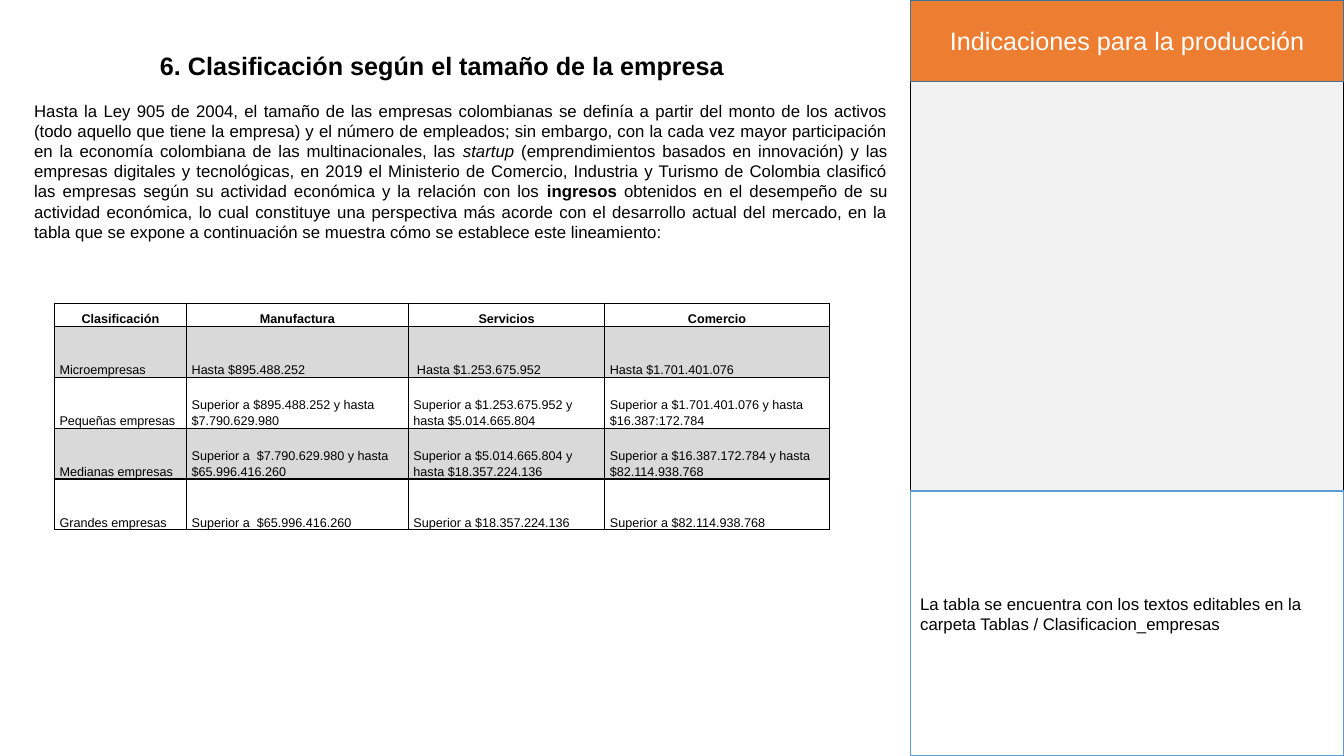
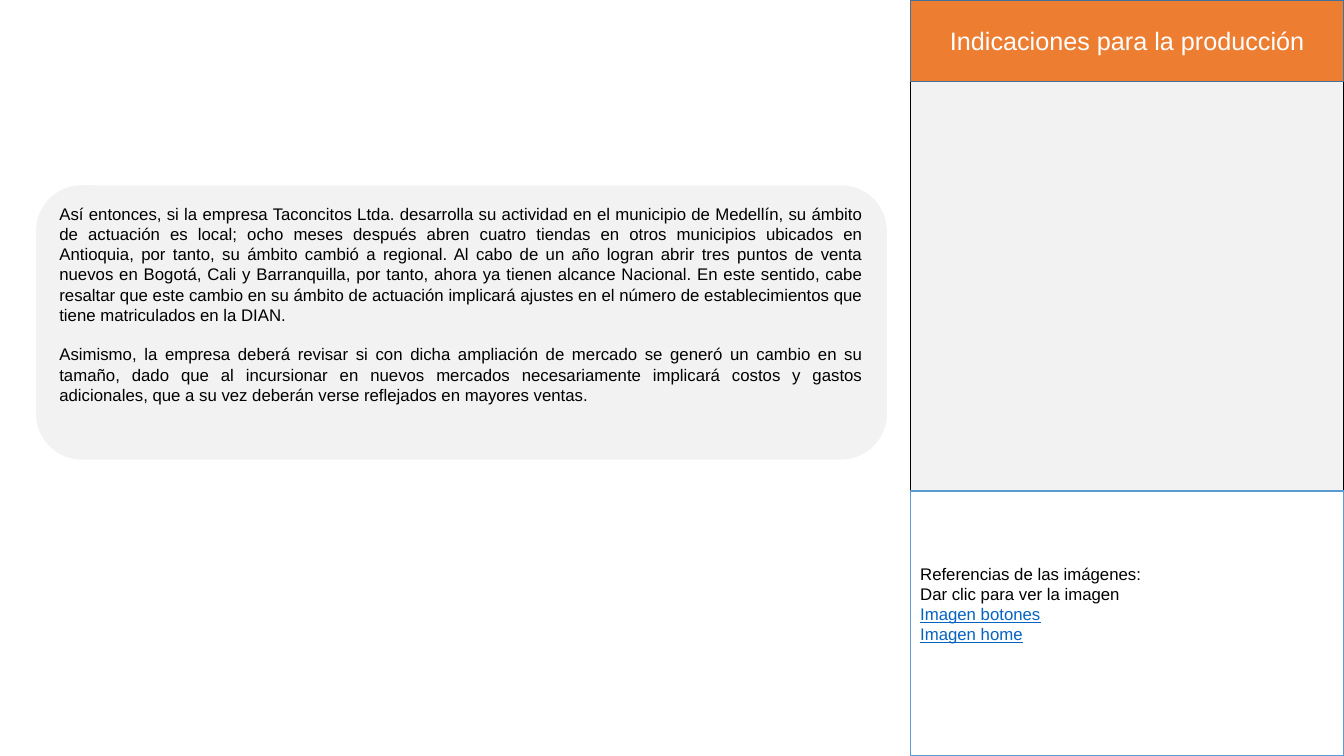
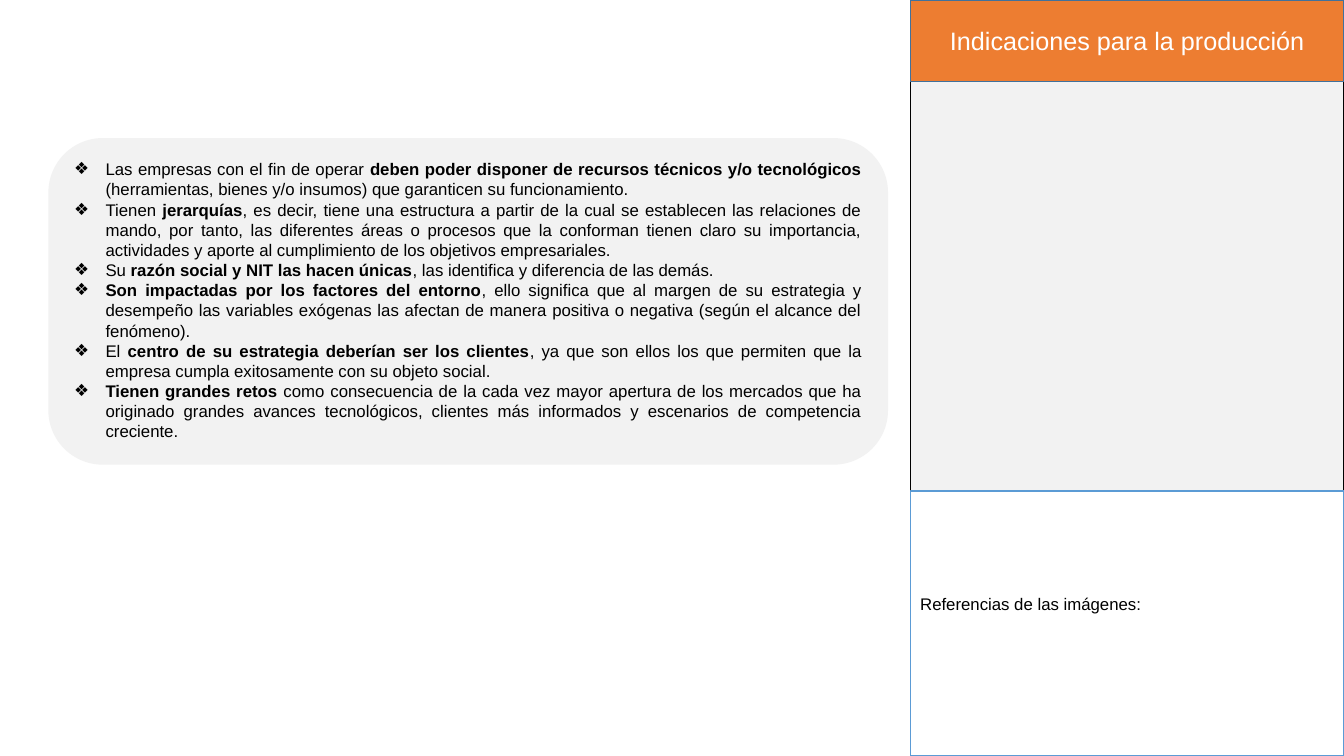
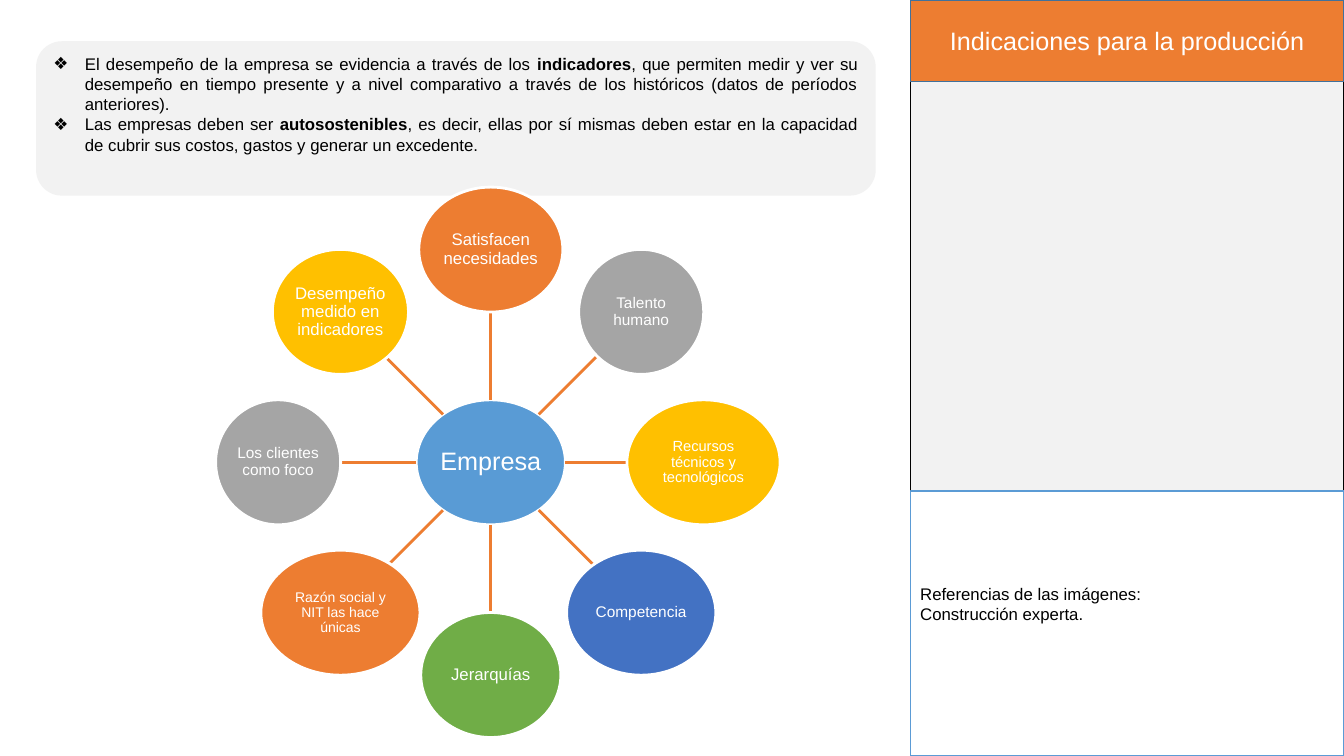
from dataclasses import dataclass
from math import cos, hypot, radians, sin

from lxml import etree
from pptx import Presentation
from pptx import util as u
from pptx.dml.color import RGBColor
from pptx.enum import shapes, text
from pptx.oxml import ns

FONT = "Arial"
BLACK, WHITE = "000000", "FFFFFF"
PALE, SHADE = "F2F2F2", "D9D9D9"
ORANGE, BLUE, GREY, GOLD = "ED7D31", "599BD5", "A5A5A5", "FFC000"
INDIGO, GREEN = "4372C3", "70AD47"
BAND_EDGE, NOTE_EDGE, LINK = "42719B", "5B9BD5", "0563C1"

SLIDE_WIDTH, SLIDE_HEIGHT = 33.87, 19.05
PANEL_LEFT, BAND_HEIGHT, NOTE_TOP = 22.94, 2.06, 12.37
INSET, TEXT_LINE = 0.13, 0.49
ALIGN, ANCHOR, KIND = text.PP_ALIGN, text.MSO_ANCHOR, shapes.MSO_SHAPE


@dataclass(frozen=True)
class Area:
    """A rectangle in centimetres."""
    left: float
    top: float
    width: float
    height: float

    def lengths(self) -> tuple:
        return u.Cm(self.left), u.Cm(self.top), u.Cm(self.width), u.Cm(self.height)


@dataclass(frozen=True)
class Span:
    text: str
    bold: bool = False
    italic: bool = False
    underline: bool = False
    color: str = BLACK


@dataclass(frozen=True)
class Node:
    label: str
    color: str
    width: float
    size: float


INTRO = [[
    Span("Hasta la Ley 905 de 2004, el tamaño de las empresas colombianas se definía a partir "
         "del monto de los activos (todo aquello que tiene la empresa) y el número de empleados; "
         "sin embargo, con la cada vez mayor participación en la economía colombiana de las "
         "multinacionales, las "),
    Span("startup ", italic=True),
    Span("(emprendimientos basados en innovación) y las empresas digitales y tecnológicas, en "
         "2019 el Ministerio de Comercio, Industria y Turismo de Colombia clasificó las empresas "
         "según su actividad económica y la relación con los "),
    Span("ingresos ", bold=True),
    Span("obtenidos en el desempeño de su actividad económica, lo cual constituye una perspectiva "
         "más acorde con el desarrollo actual del mercado, en la tabla que se expone a "
         "continuación se muestra cómo se establece este lineamiento:"),
]]

SIZE_TABLE = [
    ["Clasificación", "Manufactura", "Servicios", "Comercio"],
    ["Microempresas", "Hasta $895.488.252", " Hasta $1.253.675.952", "Hasta $1.701.401.076"],
    ["Pequeñas empresas", "Superior a $895.488.252 y hasta $7.790.629.980",
     "Superior a $1.253.675.952 y hasta $5.014.665.804",
     "Superior a $1.701.401.076 y hasta $16.387:172.784"],
    ["Medianas empresas", "Superior a  $7.790.629.980 y hasta $65.996.416.260",
     "Superior a $5.014.665.804 y hasta $18.357.224.136",
     "Superior a $16.387.172.784 y hasta $82.114.938.768"],
    ["Grandes empresas", "Superior a  $65.996.416.260", "Superior a $18.357.224.136",
     "Superior a $82.114.938.768"],
]
COLUMN_WIDTHS = [3.33, 5.59, 4.95, 5.66]
HEADER_HEIGHT, ROW_HEIGHT = 0.58, 1.28

EXAMPLE = [
    [Span("Así entonces, si la empresa Taconcitos Ltda. desarrolla su actividad en el municipio de "
          "Medellín, su ámbito de actuación es local; ocho meses después abren cuatro tiendas en "
          "otros municipios ubicados en Antioquia, por tanto, su ámbito cambió a regional. Al cabo "
          "de un año logran abrir tres puntos de venta nuevos en Bogotá, Cali y Barranquilla, por "
          "tanto, ahora ya tienen alcance Nacional. En este sentido, cabe resaltar que este cambio "
          "en su ámbito de actuación implicará ajustes en el número de establecimientos que tiene "
          "matriculados en la DIAN.")],
    [Span("Asimismo, la empresa deberá revisar si con dicha ampliación de mercado se generó un "
          "cambio en su tamaño, dado que al incursionar en nuevos mercados necesariamente implicará "
          "costos y gastos adicionales, que a su vez deberán verse reflejados en mayores ventas.")],
]

FEATURES = [
    [Span("Las empresas con el fin de operar "),
     Span("deben poder disponer de recursos técnicos y/o tecnológicos", bold=True),
     Span(" (herramientas, bienes y/o insumos) que garanticen su funcionamiento.")],
    [Span("Tienen "), Span("jerarquías", bold=True),
     Span(", es decir, tiene una estructura a partir de la cual se establecen las relaciones de "
          "mando, por tanto, las diferentes áreas o procesos que la conforman tienen claro su "
          "importancia, actividades y aporte al cumplimiento de los objetivos empresariales.")],
    [Span("Su "), Span("razón social y NIT las hacen únicas", bold=True),
     Span(", las identifica y diferencia de las demás.")],
    [Span("Son impactadas por los factores del entorno", bold=True),
     Span(", ello significa que al margen de su estrategia y desempeño las variables exógenas las "
          "afectan de manera positiva o negativa (según el alcance del fenómeno).")],
    [Span("El "), Span("centro de su estrategia deberían ser los clientes", bold=True),
     Span(", ya que son ellos los que permiten que la empresa cumpla exitosamente con su objeto "
          "social.")],
    [Span("Tienen grandes retos", bold=True),
     Span(" como consecuencia de la cada vez mayor apertura de los mercados que ha originado "
          "grandes avances tecnológicos, clientes más informados y escenarios de competencia "
          "creciente.")],
]

PERFORMANCE = [
    [Span("El desempeño de la empresa se evidencia a través de los"),
     Span(" indicadores", bold=True),
     Span(", que permiten medir y ver su desempeño en tiempo presente y a nivel comparativo a "
          "través de los históricos (datos de períodos anteriores).")],
    [Span("Las empresas deben ser "), Span("autosostenibles", bold=True),
     Span(", es decir, ellas por sí mismas deben estar en la capacidad de cubrir sus costos, "
          "gastos y generar un excedente.")],
]

REFERENCES = Span("Referencias de las imágenes:")

HUB = Node("Empresa", BLUE, 3.76, 18)
NODES = [  # clockwise from the top
    Node("Satisfacen necesidades", ORANGE, 3.63, 12),
    Node("Talento humano", GREY, 3.15, 11),
    Node("Recursos técnicos y tecnológicos", GOLD, 3.86, 10.5),
    Node("Competencia", INDIGO, 3.76, 11),
    Node("Jerarquías", GREEN, 3.53, 12),
    Node("Razón social y NIT las hace únicas", ORANGE, 4.01, 10),
    Node("Los clientes como foco", GREY, 3.15, 11),
    Node("Desempeño medido en indicadores", GOLD, 3.43, 12),
]
HUB_X, HUB_Y, ORBIT, NODE_HEIGHT = 12.37, 11.65, 5.36, 3.15


def rgb(color: str) -> RGBColor:
    return RGBColor.from_string(color)


def style_runs(para, size: float, color: str, bold: bool = False) -> None:
    for run in para.runs:
        run.font.name, run.font.size = FONT, u.Pt(size)
        run.font.bold, run.font.color.rgb = bold, rgb(color)


def set_label(frame, label: str, size: float, color: str, bold: bool = False,
              spacing: float = 1.0, align=ALIGN.CENTER) -> None:
    """Put one uniform paragraph in a frame."""
    frame.text = label
    para = frame.paragraphs[0]
    para.alignment, para.line_spacing = align, spacing
    style_runs(para, size, color, bold)


def add_bullet(para) -> None:
    indent = u.Cm(0.79)
    props = para._p.get_or_add_pPr()
    props.set("marL", str(indent))
    props.set("indent", str(-indent))
    color = etree.SubElement(props, ns.qn("a:buClr"))
    etree.SubElement(color, ns.qn("a:srgbClr"), val=BLACK)
    etree.SubElement(props, ns.qn("a:buFont"), typeface=FONT)
    etree.SubElement(props, ns.qn("a:buChar"), char="❖")


def write_body(frame, paragraphs: list[list[Span]], align=ALIGN.JUSTIFY,
               bulleted: bool = False, gap: float = 0) -> None:
    """Fill a frame with 12-point paragraphs, gap points apart."""
    frame.word_wrap = True
    for index, spans in enumerate(paragraphs):
        para = frame.add_paragraph() if index else frame.paragraphs[0]
        para.alignment = align
        if gap and index:
            para.space_before = u.Pt(gap)
        if bulleted:
            add_bullet(para)
        for span in spans:
            run = para.add_run()
            run.text = span.text
            font = run.font
            font.name, font.size, font.color.rgb = FONT, u.Pt(12), rgb(span.color)
            font.bold, font.italic, font.underline = span.bold, span.italic, span.underline


def add_box(page, kind, area: Area, fill: str, line: str | None = None, weight: float = 1):
    box = page.shapes.add_shape(kind, *area.lengths())
    box.shadow.inherit = False
    box.fill.solid()
    box.fill.fore_color.rgb = rgb(fill)
    if line:
        box.line.color.rgb, box.line.width = rgb(line), u.Pt(weight)
    else:
        box.line.fill.background()
    return box


def add_page(deck, layout: int, note: list[list[Span]], free_lines: int = 2):
    """Add a slide with the production panel; free_lines is the room kept under the note."""
    page = deck.slides.add_slide(deck.slide_layouts[layout])
    width = SLIDE_WIDTH - PANEL_LEFT
    add_box(page, KIND.RECTANGLE, Area(PANEL_LEFT, 0, width, SLIDE_HEIGHT), PALE, BLACK)
    band = add_box(page, KIND.RECTANGLE, Area(PANEL_LEFT, 0, width, BAND_HEIGHT),
                   ORANGE, BAND_EDGE)
    set_label(band.text_frame, "Indicaciones para la producción", 18, WHITE)
    note_box = add_box(page, KIND.RECTANGLE,
                       Area(PANEL_LEFT, NOTE_TOP, width, SLIDE_HEIGHT - NOTE_TOP),
                       WHITE, NOTE_EDGE)
    frame = note_box.text_frame
    frame.margin_bottom = u.Cm(INSET + free_lines * TEXT_LINE)
    write_body(frame, note, ALIGN.LEFT)
    return page


def add_card(page, area: Area, paragraphs: list[list[Span]],
             bulleted: bool = False, gap: float = 0) -> None:
    card = add_box(page, KIND.ROUNDED_RECTANGLE, area, PALE)
    card.text_frame.vertical_anchor = ANCHOR.TOP
    write_body(card.text_frame, paragraphs, bulleted=bulleted, gap=gap)


def set_borders(cell) -> None:
    props = cell._tc.get_or_add_tcPr()
    for index, side in enumerate(("lnL", "lnR", "lnT", "lnB")):
        border = etree.Element(ns.qn(f"a:{side}"), w=str(u.Pt(1)))
        fill = etree.SubElement(border, ns.qn("a:solidFill"))
        etree.SubElement(fill, ns.qn("a:srgbClr"), val=BLACK)
        props.insert(index, border)


def add_size_table(page, left: float, top: float) -> None:
    heights = [HEADER_HEIGHT] + [ROW_HEIGHT] * (len(SIZE_TABLE) - 1)
    area = Area(left, top, sum(COLUMN_WIDTHS), sum(heights))
    table = page.shapes.add_table(len(heights), len(COLUMN_WIDTHS), *area.lengths()).table
    table.first_row = table.horz_banding = False
    for column, width in zip(table.columns, COLUMN_WIDTHS):
        column.width = u.Cm(width)
    for index, (row, height, labels) in enumerate(zip(table.rows, heights, SIZE_TABLE)):
        row.height = u.Cm(height)
        header = index == 0
        for cell, label in zip(row.cells, labels):
            cell.margin_left = cell.margin_right = u.Cm(INSET)
            cell.margin_top = cell.margin_bottom = 0
            cell.vertical_anchor = ANCHOR.BOTTOM
            cell.fill.solid()
            cell.fill.fore_color.rgb = rgb(SHADE if index % 2 else WHITE)
            set_borders(cell)
            set_label(cell.text_frame, label, 9, BLACK, header, 1.15,
                      ALIGN.CENTER if header else ALIGN.LEFT)


def add_node(page, node: Node, x: float, y: float) -> None:
    """Draw an ellipse centred on x, y."""
    area = Area(x - node.width / 2, y - NODE_HEIGHT / 2, node.width, NODE_HEIGHT)
    ellipse = add_box(page, KIND.OVAL, area, node.color, WHITE, 2)
    frame = ellipse.text_frame
    frame.margin_left = frame.margin_right = u.Cm(0.03)
    frame.margin_top = frame.margin_bottom = u.Cm(0.03)
    set_label(frame, node.label, node.size, WHITE, spacing=0.9)


def reach(node: Node, dx: float, dy: float) -> float:
    """Distance from a node's centre to its edge along a unit direction."""
    return 1 / hypot(2 * dx / node.width, 2 * dy / NODE_HEIGHT)


def add_spoke(page, node: Node, dx: float, dy: float) -> None:
    start, end = reach(HUB, dx, dy), ORBIT - reach(node, dx, dy)
    ends = [u.Cm(value) for distance in (start, end)
            for value in (HUB_X + distance * dx, HUB_Y + distance * dy)]
    spoke = page.shapes.add_connector(shapes.MSO_CONNECTOR.STRAIGHT, *ends)
    spoke.line.color.rgb, spoke.line.width = rgb(ORANGE), u.Pt(2)
    etree.SubElement(spoke._element.spPr, ns.qn("a:effectLst"))


def add_wheel(page) -> None:
    add_node(page, HUB, HUB_X, HUB_Y)
    for index, node in enumerate(NODES):
        angle = radians(index * 360 / len(NODES) - 90)
        dx, dy = cos(angle), sin(angle)
        add_spoke(page, node, dx, dy)
        add_node(page, node, HUB_X + ORBIT * dx, HUB_Y + ORBIT * dy)


def build_size_page(deck) -> None:
    page = add_page(deck, 5, [[Span("La tabla se encuentra con los textos editables en la carpeta "
                                    "Tablas / Clasificacion_empresas")]], free_lines=1)
    title = page.shapes.title
    title.left, title.top, title.width, title.height = Area(3.05, 1.02, 16.18, 1.14).lengths()
    frame = title.text_frame
    frame.auto_size, frame.vertical_anchor = text.MSO_AUTO_SIZE.NONE, ANCHOR.TOP
    set_label(frame, "6. Clasificación según el tamaño de la empresa", 18, BLACK, True, 1.15)
    intro = page.shapes.add_textbox(*Area(0.61, 2.41, 22.02, 4.83).lengths())
    write_body(intro.text_frame, INTRO)
    add_size_table(page, 1.37, 7.65)


def build_example_page(deck) -> None:
    links = [[Span(label, underline=True, color=LINK)]
             for label in ("Imagen botones", "Imagen home")]
    page = add_page(deck, 6, [[REFERENCES], [Span("Dar clic para ver la imagen")], *links])
    add_card(page, Area(0.91, 4.67, 21.44, 6.91), EXAMPLE, gap=14)


def build_features_page(deck) -> None:
    page = add_page(deck, 6, [[REFERENCES]])
    add_card(page, Area(1.22, 3.48, 21.16, 8.23), FEATURES, bulleted=True)


def build_wheel_page(deck) -> None:
    page = add_page(deck, 6, [[REFERENCES], [Span("Construcción experta.")]])
    add_card(page, Area(0.91, 1.04, 21.16, 3.89), PERFORMANCE, bulleted=True)
    add_wheel(page)


def main() -> None:
    deck = Presentation()
    deck.slide_width, deck.slide_height = u.Cm(SLIDE_WIDTH), u.Cm(SLIDE_HEIGHT)
    build_size_page(deck)
    build_example_page(deck)
    build_features_page(deck)
    build_wheel_page(deck)
    deck.save("out.pptx")


if __name__ == "__main__":
    main()
